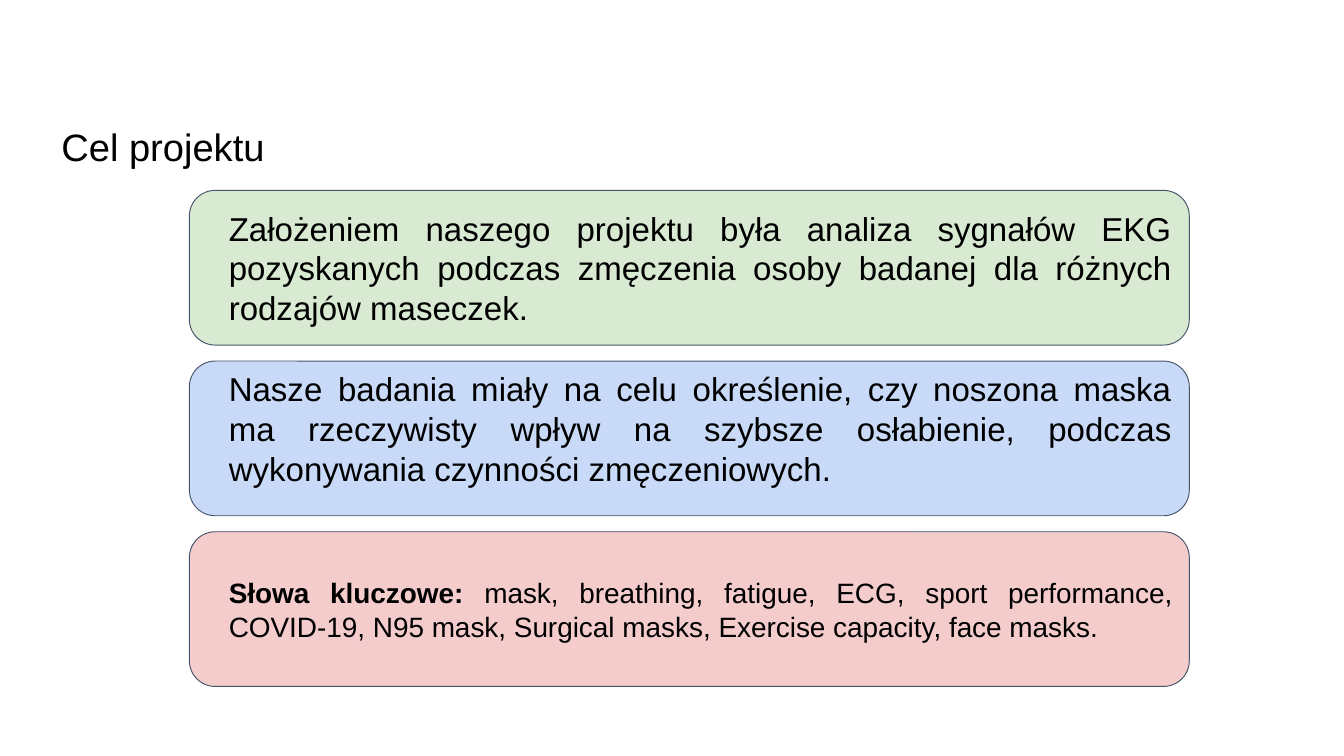
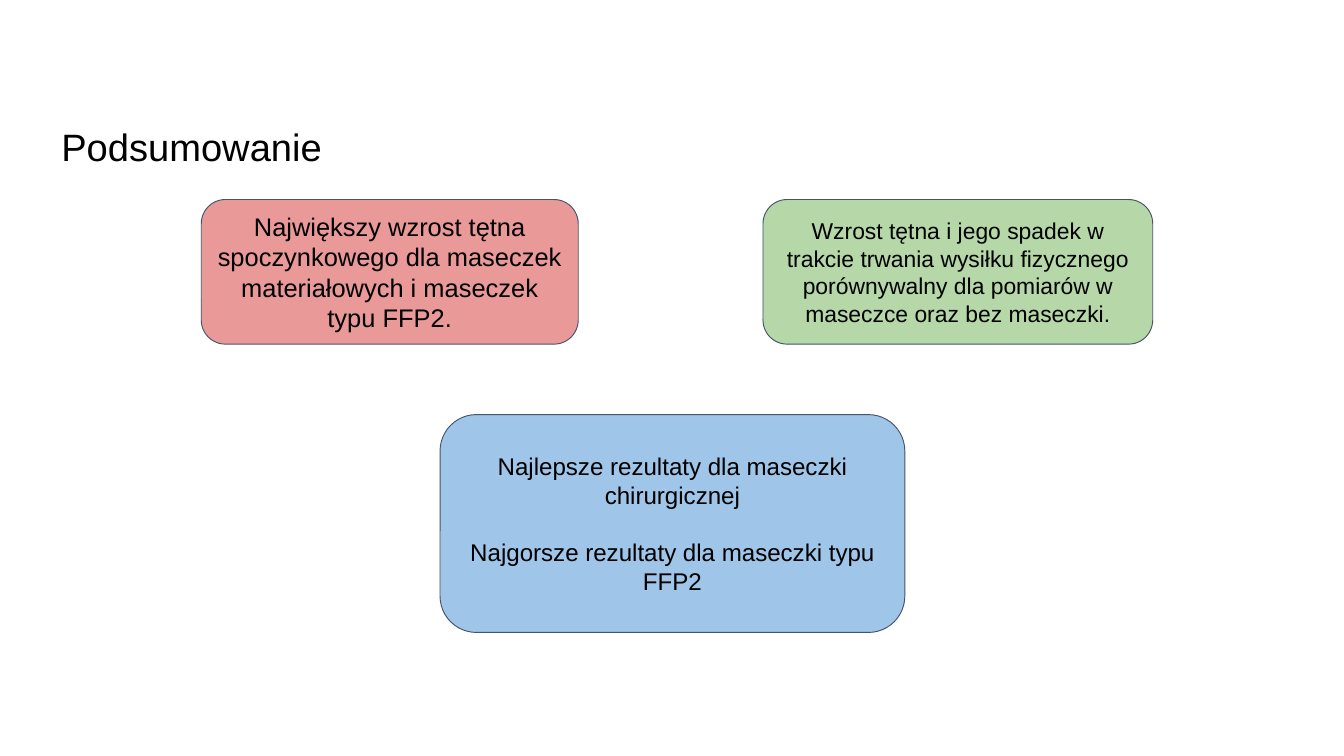
"""Build the project goal and summary slides."""
from dataclasses import dataclass

from pptx import Presentation
from pptx.dml.color import RGBColor
from pptx.enum.shapes import MSO_SHAPE
from pptx.enum.text import MSO_ANCHOR, MSO_AUTO_SIZE, PP_ALIGN
from pptx.presentation import Presentation as Deck
from pptx.slide import Slide
from pptx.util import Inches, Length, Pt

ROUNDED = MSO_SHAPE.ROUNDED_RECTANGLE
TOP, MIDDLE = MSO_ANCHOR.TOP, MSO_ANCHOR.MIDDLE
LEFT, CENTER, JUSTIFY = PP_ALIGN.LEFT, PP_ALIGN.CENTER, PP_ALIGN.JUSTIFY
FIT_SHAPE = MSO_AUTO_SIZE.SHAPE_TO_FIT_TEXT

BLACK = RGBColor(0x00, 0x00, 0x00)
OUTLINE = RGBColor(0x44, 0x54, 0x6A)
PALE_GREEN = RGBColor(0xD9, 0xEA, 0xD3)
PALE_BLUE = RGBColor(0xC9, 0xDA, 0xF8)
PALE_RED = RGBColor(0xF4, 0xCC, 0xCC)
GREEN = RGBColor(0xB6, 0xD7, 0xA8)
BLUE = RGBColor(0x9F, 0xC5, 0xE8)
RED = RGBColor(0xEA, 0x99, 0x99)

FONT = "Arial"
TITLE_SIZE = 30
TITLE_ONLY = 5
INSET = Inches(0.1)
GOAL_TOP, GOAL_STEP = 2.08, 1.865


@dataclass(frozen=True)
class Card:
    """A rounded box with its text; lengths are in inches, sizes in points."""
    left: float
    top: float
    width: float
    height: float
    fill: RGBColor
    size: int
    text: str
    lead: str = ""
    align: PP_ALIGN = CENTER
    indent: float = 0
    bottom_inset: float = 0.1
    gap: int = 0


def goal_card(row: int, fill: RGBColor, size: int, text: str,
              lead: str = "", bottom_inset: float = 0.1) -> Card:
    """Return the full-width goal card for a row of the stack."""
    return Card(2.07, GOAL_TOP + row * GOAL_STEP, 10.93, 1.69, fill, size, text,
                lead, JUSTIFY, 0.25, bottom_inset)


GOALS = [
    goal_card(0, PALE_GREEN, 26,
              "Założeniem naszego projektu była analiza sygnałów EKG pozyskanych "
              "podczas zmęczenia osoby badanej dla różnych rodzajów maseczek."),
    goal_card(1, PALE_BLUE, 26,
              "Nasze badania miały na celu określenie, czy noszona maska ma "
              "rzeczywisty wpływ na szybsze osłabienie, podczas wykonywania "
              "czynności zmęczeniowych.", bottom_inset=0.32),
    goal_card(2, PALE_RED, 22,
              " mask, breathing, fatigue, ECG, sport performance, COVID-19, "
              "N95 mask, Surgical masks, Exercise capacity, face masks.",
              lead="Słowa kluczowe:"),
]
FINDINGS = [
    Card(2.2, 2.18, 4.12, 1.58, RED, 20,
         "Największy wzrost tętna spoczynkowego dla maseczek materiałowych "
         "i maseczek typu FFP2."),
    Card(8.34, 2.18, 4.26, 1.58, GREEN, 18,
         "Wzrost tętna i jego spadek w trakcie trwania wysiłku fizycznego "
         "porównywalny dla pomiarów w maseczce oraz bez maseczki."),
    Card(4.81, 4.53, 5.08, 2.38, BLUE, 19,
         "Najlepsze rezultaty dla maseczki chirurgicznej\n"
         "Najgorsze rezultaty dla maseczki typu FFP2", gap=22),
]


def style_run(run, size: int, bold: bool = False) -> None:
    """Apply the shared font to a run."""
    run.font.name = FONT
    run.font.size = Pt(size)
    run.font.bold = bold
    run.font.color.rgb = BLACK


def set_insets(frame, side: Length, top: Length, bottom: Length) -> None:
    """Set the inner margins of a text frame."""
    frame.margin_left = frame.margin_right = side
    frame.margin_top, frame.margin_bottom = top, bottom


def add_titled_slide(deck: Deck, heading: str, width: float) -> Slide:
    """Add a slide with its heading in the title placeholder."""
    slide = deck.slides.add_slide(deck.slide_layouts[TITLE_ONLY])
    title = slide.shapes.title
    title.left, title.top = Inches(0.57), Inches(1.3)
    title.width, title.height = Inches(width), Inches(0.61)
    frame = title.text_frame
    frame.text = heading
    frame.word_wrap = True
    frame.auto_size = FIT_SHAPE
    frame.vertical_anchor = TOP
    set_insets(frame, INSET, Inches(0.05), Inches(0.05))
    frame.paragraphs[0].alignment = LEFT
    style_run(frame.paragraphs[0].runs[0], TITLE_SIZE)
    return slide


def add_card(slide: Slide, card: Card) -> None:
    """Draw a card and its text."""
    box = slide.shapes.add_shape(ROUNDED, Inches(card.left), Inches(card.top),
                                 Inches(card.width), Inches(card.height))
    box.shadow.inherit = False
    box.fill.solid()
    box.fill.fore_color.rgb = card.fill
    box.line.color.rgb = OUTLINE
    box.line.width = Pt(0.75)
    frame = box.text_frame
    frame.word_wrap = True
    frame.vertical_anchor = MIDDLE
    set_insets(frame, INSET, INSET, Inches(card.bottom_inset))
    frame.text = card.lead or card.text
    if card.lead:
        frame.paragraphs[0].add_run().text = card.text
    for index, paragraph in enumerate(frame.paragraphs):
        paragraph.alignment = card.align
        paragraph.space_before = Pt(card.gap if index else 0)
        if card.indent:
            properties = paragraph._p.get_or_add_pPr()
            properties.set("marL", str(Inches(card.indent)))
            properties.set("indent", "0")
        for run in paragraph.runs:
            style_run(run, card.size, bold=run.text == card.lead)


def main() -> None:
    """Build and save the presentation."""
    deck = Presentation()
    deck.slide_width, deck.slide_height = Inches(14.69), Inches(8.26)
    for heading, width, cards in (("Cel projektu", 4.02, GOALS),
                                  ("Podsumowanie", 4.88, FINDINGS)):
        slide = add_titled_slide(deck, heading, width)
        for card in cards:
            add_card(slide, card)
    deck.save("out.pptx")


if __name__ == "__main__":
    main()
